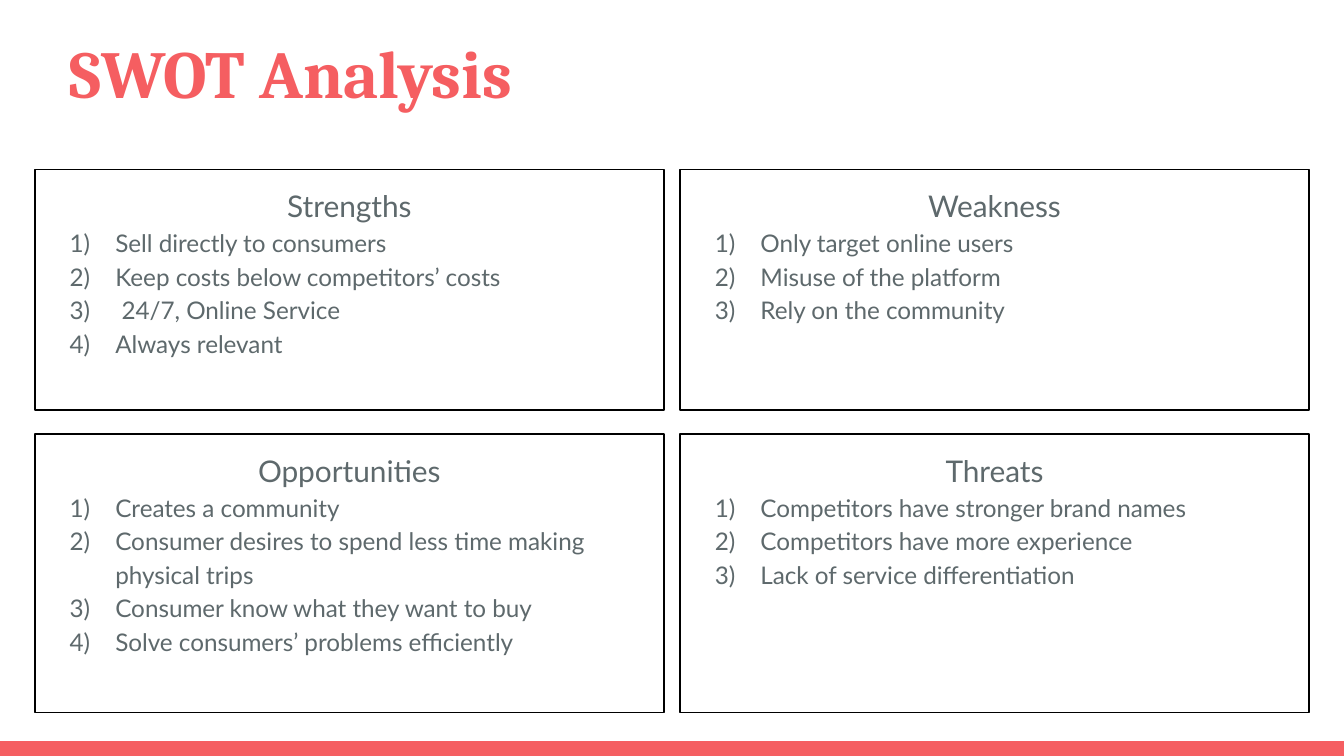
"""Build a SWOT analysis slide with four bordered quadrants."""
from dataclasses import dataclass

from lxml import etree
from pptx import Presentation
from pptx.dml.color import RGBColor
from pptx.enum.shapes import MSO_SHAPE
from pptx.enum.text import MSO_ANCHOR, PP_ALIGN
from pptx.oxml.ns import qn
from pptx.util import Inches, Pt

RECT = MSO_SHAPE.RECTANGLE
TOP = MSO_ANCHOR.TOP
LEFT, CENTER = PP_ALIGN.LEFT, PP_ALIGN.CENTER

WIDTH = 10
HEIGHT = WIDTH * 9 / 16
CORAL, SLATE, BLACK = "F55E61", "5E696C", "000000"
MARGIN, GUTTER = 0.26, 0.12
COL_WIDTH = (WIDTH - 2 * MARGIN - GUTTER) / 2
ROWS = ((1.26, 1.79), (3.23, 2.07))
BAR_HEIGHT = 0.11
INSET = 0.1


@dataclass(frozen=True)
class Quadrant:
    """One SWOT box, placed by grid column and row."""
    col: int
    row: int
    heading: str
    items: tuple[str, ...]


QUADRANTS = (
    Quadrant(0, 0, "Strengths", (
        "Sell directly to consumers",
        "Keep costs below competitors’ costs",
        " 24/7, Online Service",
        "Always relevant")),
    Quadrant(1, 0, "Weakness", (
        "Only target online users",
        "Misuse of the platform",
        "Rely on the community")),
    Quadrant(0, 1, "Opportunities", (
        "Creates a community",
        "Consumer desires to spend less time making physical trips",
        "Consumer know what they want to buy",
        "Solve consumers’ problems efficiently")),
    Quadrant(1, 1, "Threats", (
        "Competitors have stronger brand names",
        "Competitors have more experience",
        "Lack of service differentiation")),
)


def rgb(color: str) -> RGBColor:
    """Turn a hex string into a colour."""
    return RGBColor.from_string(color)


def add_run(p, text: str, size: float, font: str, color: str, bold: bool = False) -> None:
    """Append a styled run to a paragraph."""
    r = p.add_run()
    r.text = text
    r.font.size = Pt(size)
    r.font.name = font
    r.font.bold = bold
    r.font.color.rgb = rgb(color)


def set_frame(tf) -> None:
    """Give a text frame wrapping, top anchoring and even insets."""
    tf.word_wrap = True
    tf.vertical_anchor = TOP
    tf.margin_left = tf.margin_right = tf.margin_top = tf.margin_bottom = Inches(INSET)


def set_number(p) -> None:
    """Number a paragraph as 1), 2), 3) with a hanging indent."""
    pPr = p._p.get_or_add_pPr()
    pPr.set("marL", str(Inches(0.5)))
    pPr.set("indent", str(Inches(-0.34)))
    clr = etree.SubElement(pPr, qn("a:buClr"))
    etree.SubElement(clr, qn("a:srgbClr"), val=SLATE)
    etree.SubElement(pPr, qn("a:buFont"), typeface="Lato")
    etree.SubElement(pPr, qn("a:buAutoNum"), type="arabicParenR")


def add_quadrant(s, quadrant: Quadrant) -> None:
    """Draw a bordered box with its heading and numbered items."""
    left = MARGIN + quadrant.col * (COL_WIDTH + GUTTER)
    top, height = ROWS[quadrant.row]
    sp = s.shapes.add_shape(RECT, Inches(left), Inches(top), Inches(COL_WIDTH), Inches(height))
    sp.shadow.inherit = False
    sp.fill.background()
    sp.line.color.rgb = rgb(BLACK)
    sp.line.width = Pt(0.75)
    tf = sp.text_frame
    set_frame(tf)
    p = tf.paragraphs[0]
    p.alignment = CENTER
    p.line_spacing = 1.15
    add_run(p, quadrant.heading, 16, "Lato", SLATE)
    for item in quadrant.items:
        p = tf.add_paragraph()
        p.alignment = LEFT
        p.line_spacing = 1.15
        set_number(p)
        add_run(p, item, 13, "Lato", SLATE)


def add_title(s, text: str) -> None:
    """Write the slide title."""
    sp = s.shapes.add_textbox(Inches(0.42), Inches(0.13), Inches(9.15), Inches(0.75))
    set_frame(sp.text_frame)
    add_run(sp.text_frame.paragraphs[0], text, 36, "Cambria", CORAL, bold=True)


def add_bar(s) -> None:
    """Draw the coral bar along the bottom edge."""
    sp = s.shapes.add_shape(RECT, 0, Inches(HEIGHT - BAR_HEIGHT), Inches(WIDTH), Inches(BAR_HEIGHT))
    sp.shadow.inherit = False
    sp.fill.solid()
    sp.fill.fore_color.rgb = rgb(CORAL)
    sp.line.fill.background()


def main() -> None:
    """Build and save the slide."""
    prs = Presentation()
    prs.slide_width, prs.slide_height = Inches(WIDTH), Inches(HEIGHT)
    s = prs.slides.add_slide(prs.slide_layouts[6])
    add_bar(s)
    for quadrant in QUADRANTS:
        add_quadrant(s, quadrant)
    add_title(s, "SWOT Analysis")
    prs.save("out.pptx")


if __name__ == "__main__":
    main()
